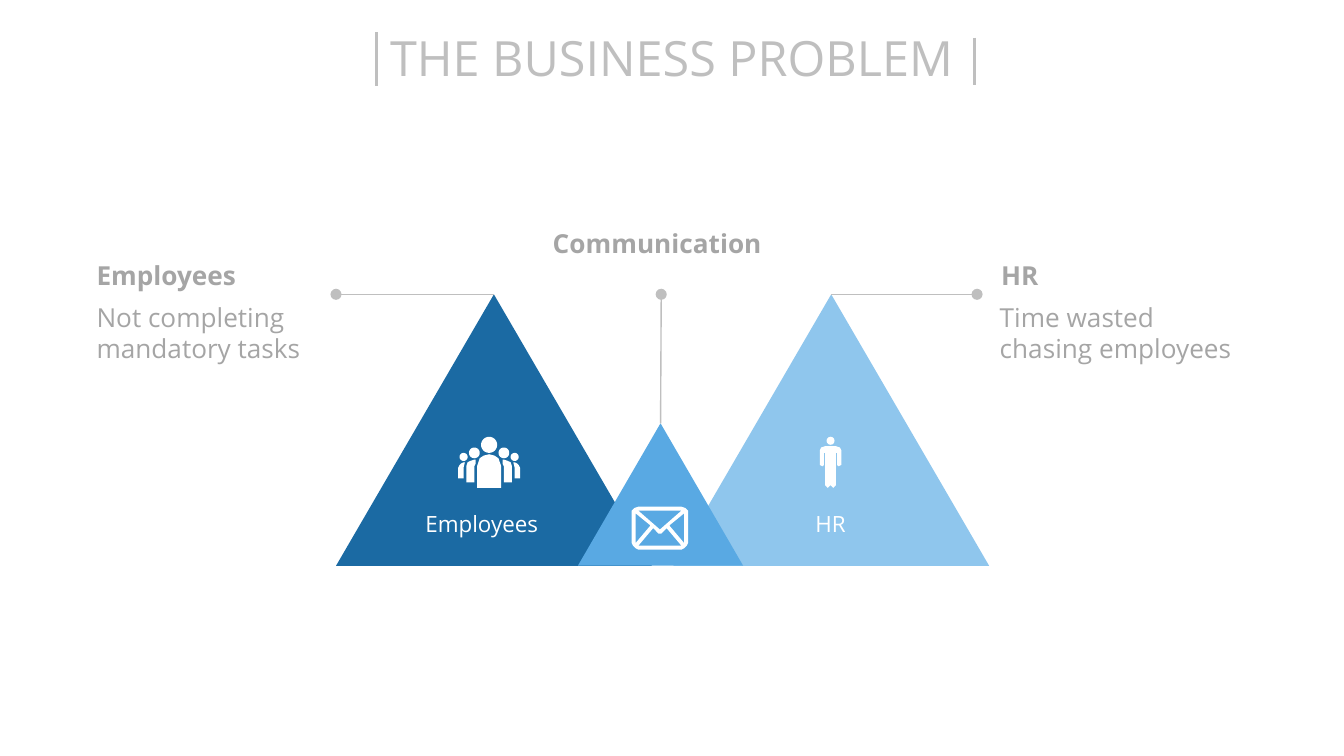
import math

from lxml import etree
from pptx import Presentation
from pptx import util as u
from pptx.dml.color import RGBColor
from pptx.enum import shapes, text
from pptx.oxml.ns import qn

FONT = "Open Sans"
WHITE, RULE, GREY = "FFFFFF", "BFBFBF", "A5A5A5"
LEFT, CENTER = text.PP_ALIGN.LEFT, text.PP_ALIGN.CENTER

TITLE = ("THE BUSINESS PROBLEM", (0.94, 0.16, 8.12, 0.54))
TITLE_RULES = [((2.8, 0.24), (2.8, 0.64)), ((7.25, 0.28), (7.25, 0.63))]
TRIANGLES = [
    ((2.5, 2.19, 2.35, 2.02), "1B6AA3", (2.5, 2.19)),
    ((5.01, 2.19, 2.35, 2.02), "8FC6ED", (7.27, 2.19)),
    ((4.3, 3.15, 1.23, 1.06), "59A9E3", (4.92, 2.19)),
]
LABELS = [
    ("Employees", (3.05, 3.75, 1.07, 0.3), 12, WHITE, False, CENTER),
    ("HR", (5.78, 3.75, 0.8, 0.3), 12, WHITE, False, CENTER),
    ("Communication", (3.99, 1.64, 1.8, 0.29), 14, GREY, True, CENTER),
    ("Employees", (0.62, 1.88, 2.06, 0.3), 14, GREY, True, LEFT),
    ("Not completing mandatory tasks", (0.62, 2.19, 1.87, 0.98), 14, GREY, False, LEFT),
    ("HR", (7.35, 1.88, 1.69, 0.3), 14, GREY, True, LEFT),
    ("Time wasted chasing employees", (7.34, 2.19, 2.06, 0.91), 14, GREY, False, LEFT),
]
ENVELOPE_AXIS, GROUP_AXIS, PERSON_AXIS = 4.91, 3.64, 6.18
ENVELOPE_CORNER = [(4.75, 3.77), (4.72, 3.78), (4.7, 3.8), (4.7, 3.82)]
ENVELOPE_BASE = [(4.7, 4.04), (4.71, 4.06), (4.73, 4.08), (4.75, 4.09)]
ENVELOPE_SIDE = [(4.73, 3.82), (4.84, 3.91), (4.73, 4.04)]
ENVELOPE_FLAP = [(4.75, 3.8), (4.91, 3.94), (5.07, 3.8)]
ENVELOPE_FRONT = [(4.75, 4.06), (4.86, 3.93), (4.9, 3.97), (4.92, 3.97), (4.96, 3.93), (5.07, 4.06)]
GROUP_HEADS = [(3.53, 3.37, 0.04), (3.45, 3.4, 0.03)]
GROUP_BODIES = [
    [(3.47, 3.59), (3.47, 3.47), (3.48, 3.44), (3.5, 3.43), (3.53, 3.42),
     (3.54, 3.42), (3.54, 3.45), (3.53, 3.47), (3.53, 3.59)],
    [(3.41, 3.56), (3.41, 3.48), (3.42, 3.46), (3.43, 3.45), (3.45, 3.44),
     (3.46, 3.44), (3.45, 3.48), (3.45, 3.56)],
]
LEADER_BODY = [(3.55, 3.63), (3.55, 3.47), (3.57, 3.41), (3.6, 3.39), (3.64, 3.38)]
PERSON_HALF = [
    (6.18, 3.32), (6.14, 3.32), (6.11, 3.33), (6.1, 3.35), (6.1, 3.46), (6.12, 3.47),
    (6.13, 3.46), (6.13, 3.37), (6.14, 3.37), (6.14, 3.61), (6.16, 3.63), (6.18, 3.61),
    (6.18, 3.48),
]


def color(value):
    return RGBColor.from_string(value)


def inches(values):
    return [u.Inches(value) for value in values]


def mirror(points, axis):
    return [(2 * axis - x, y) for x, y in reversed(points)]


def circle(x, y, radius, steps=24):
    angles = [2 * math.pi * step / steps for step in range(steps)]
    return [(x + radius * math.cos(a), y + radius * math.sin(a)) for a in angles]


def paint(shape, fill):
    shape.shadow.inherit = False
    shape.fill.solid()
    shape.fill.fore_color.rgb = color(fill)
    shape.line.fill.background()


def write(box, words, size, ink, bold, align):
    frame = box.text_frame
    frame.text = words
    frame.word_wrap = True
    frame.auto_size = text.MSO_AUTO_SIZE.NONE
    frame.vertical_anchor = text.MSO_ANCHOR.TOP
    para = frame.paragraphs[0]
    para.alignment = align
    font = para.runs[0].font
    font.name, font.size, font.bold = FONT, u.Pt(size), bold
    font.color.rgb = color(ink)


def add_line(slide, start, end, width):
    line = slide.shapes.add_connector(shapes.MSO_CONNECTOR.STRAIGHT, *inches(start + end))
    line.line.color.rgb = color(RULE)
    line.line.width = u.Pt(width)
    etree.SubElement(line._element.spPr, qn("a:effectLst"))
    return line


def add_triangle(slide, place, fill, dot):
    triangle = slide.shapes.add_shape(shapes.MSO_SHAPE.ISOSCELES_TRIANGLE, *inches(place))
    paint(triangle, fill)
    left, top, width, height = place
    leader = add_line(slide, (left + width / 2, top), dot, 0.75)
    leader.begin_connect(triangle, 0)
    etree.SubElement(leader.line._get_or_add_ln(), qn("a:tailEnd"), type="oval")


def add_icon(slide, contours):
    first, *others = [[inches(point) for point in contour] for contour in contours]
    builder = slide.shapes.build_freeform(*first[0])
    builder.add_line_segments(first[1:])
    for contour in others:
        builder.move_to(*contour[0])
        builder.add_line_segments(contour[1:])
    paint(builder.convert_to_shape(), WHITE)


def add_envelope(slide):
    half = ENVELOPE_CORNER + ENVELOPE_BASE
    outline = half + mirror(half, ENVELOPE_AXIS)
    sides = [ENVELOPE_SIDE, mirror(ENVELOPE_SIDE, ENVELOPE_AXIS)]
    add_icon(slide, [outline, *sides, ENVELOPE_FLAP, ENVELOPE_FRONT])


def add_group(slide):
    members = [circle(*head) for head in GROUP_HEADS] + GROUP_BODIES
    members += [mirror(member, GROUP_AXIS) for member in members]
    leader = LEADER_BODY + mirror(LEADER_BODY, GROUP_AXIS)
    add_icon(slide, [leader, circle(GROUP_AXIS, 3.31, 0.06), *members])


def add_person(slide):
    add_icon(slide, [PERSON_HALF + mirror(PERSON_HALF, PERSON_AXIS)])
    head = slide.shapes.add_shape(shapes.MSO_SHAPE.OVAL, *inches((6.15, 3.25, 0.06, 0.06)))
    paint(head, WHITE)


def main():
    deck = Presentation()
    deck.slide_width = u.Inches(10)
    deck.slide_height = u.Inches(10 * 9 / 16)
    slide = deck.slides.add_slide(deck.slide_layouts[5])

    words, place = TITLE
    title = slide.shapes.title
    title.left, title.top, title.width, title.height = inches(place)
    write(title, words, 26, RULE, False, CENTER)
    for start, end in TITLE_RULES:
        add_line(slide, start, end, 1.5)

    for triangle in TRIANGLES:
        add_triangle(slide, *triangle)
    for words, place, *style in LABELS:
        write(slide.shapes.add_textbox(*inches(place)), words, *style)

    add_envelope(slide)
    add_group(slide)
    add_person(slide)
    deck.save("out.pptx")


if __name__ == "__main__":
    main()
